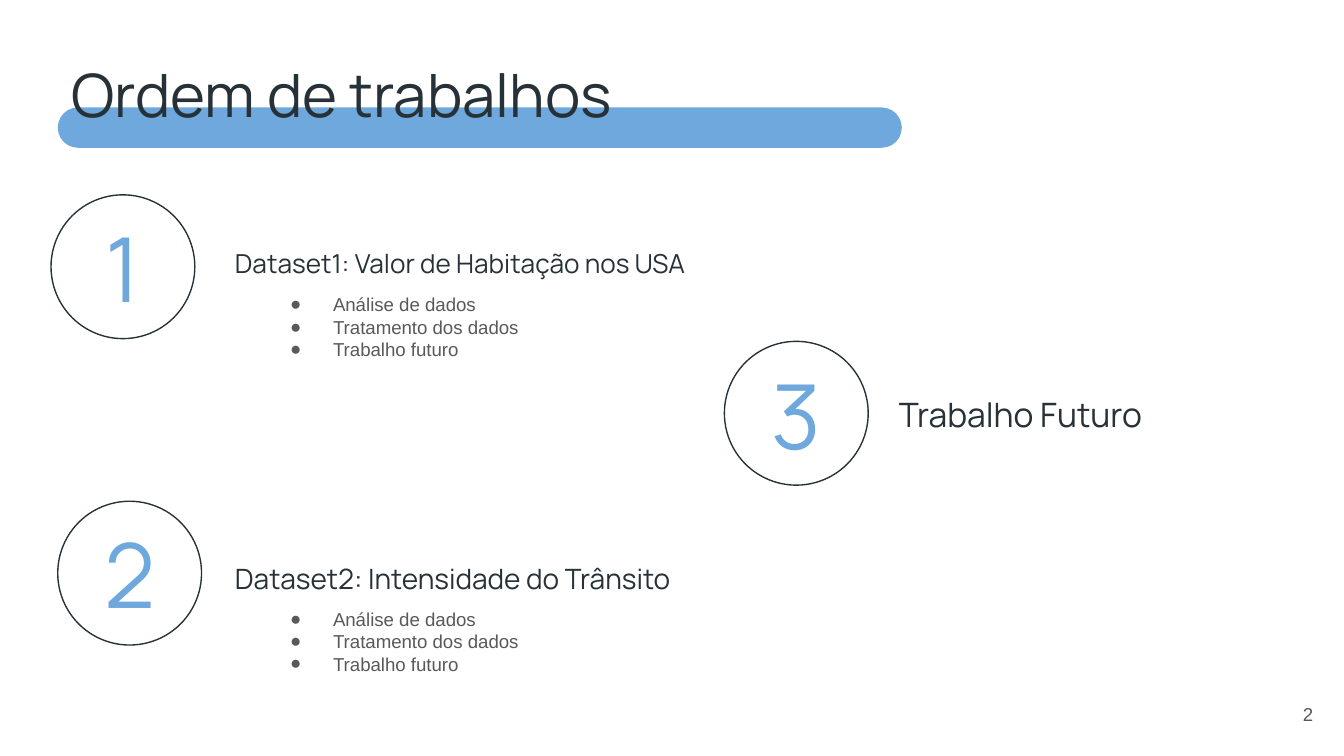
from dataclasses import dataclass

from lxml import etree
from pptx import Presentation
from pptx.dml.color import RGBColor
from pptx.enum import shapes as kinds, text as t
from pptx.oxml.ns import qn
from pptx.util import Inches, Pt


@dataclass(frozen=True)
class Theme:
    ink: str = "263238"
    accent: str = "6FA8DC"
    muted: str = "595959"
    display: str = "Manrope"
    body: str = "Arial"
    title_size: int = 32
    number_size: int = 48
    body_size: int = 10


@dataclass(frozen=True)
class Box:
    left: float
    top: float
    width: float
    height: float

    def lengths(self):
        return [Inches(v) for v in (self.left, self.top, self.width, self.height)]


@dataclass(frozen=True)
class AgendaItem:
    number: str
    circle: tuple[float, float]
    heading: str
    heading_box: Box
    heading_size: int
    topics: tuple[str, ...] = ()


THEME = Theme()
CIRCLE = 1.07
TOPICS = ("Análise de dados", "Tratamento dos dados", "Trabalho futuro")
AGENDA = (
    AgendaItem("1", (0.38, 1.45), "Dataset1: Valor de Habitação nos USA",
               Box(1.65, 1.74, 4.3, 0.49), 14, TOPICS),
    AgendaItem("2", (0.43, 3.73), "Dataset2: Intensidade do Trânsito",
               Box(1.65, 4.08, 4.3, 0.49), 15, TOPICS),
    AgendaItem("3", (5.39, 2.54), "Trabalho Futuro",
               Box(6.59, 2.83, 2.93, 0.49), 18),
)


def write(frame, content: str, size: int, color: str, font: str,
          align=t.PP_ALIGN.LEFT, anchor=t.MSO_ANCHOR.TOP) -> None:
    frame.text = content
    frame.word_wrap = True
    frame.auto_size = t.MSO_AUTO_SIZE.NONE
    frame.vertical_anchor = anchor
    frame.margin_left = frame.margin_right = Inches(0.1)
    frame.margin_top = frame.margin_bottom = Inches(0.1)
    for paragraph in frame.paragraphs:
        paragraph.alignment = align
        for run in paragraph.runs:
            run.font.size = Pt(size)
            run.font.name = font
            run.font.color.rgb = RGBColor.from_string(color)


def add_label(slide, box: Box, *style, **layout):
    """Add a text box; style and layout are passed on to write()."""
    label = slide.shapes.add_textbox(*box.lengths())
    write(label.text_frame, *style, **layout)
    return label


def add_bullet(paragraph) -> None:
    properties = paragraph._p.get_or_add_pPr()
    properties.set("marL", str(Inches(0.5)))
    properties.set("indent", str(Inches(-0.32)))
    color = etree.SubElement(properties, qn("a:buClr"))
    etree.SubElement(color, qn("a:srgbClr"), val=THEME.muted)
    etree.SubElement(properties, qn("a:buFont"), typeface=THEME.body)
    etree.SubElement(properties, qn("a:buChar"), char="●")


def add_title(slide) -> None:
    title = slide.shapes.title
    title.left, title.top, title.width, title.height = Box(0.43, 0.33, 8.43, 0.67).lengths()
    write(title.text_frame, "Ordem de trabalhos", THEME.title_size, THEME.ink, THEME.display)

    underline = slide.shapes.add_shape(kinds.MSO_SHAPE.ROUNDED_RECTANGLE,
                                       *Box(0.43, 0.8, 6.28, 0.3).lengths())
    underline.adjustments[0] = 0.5
    underline.shadow.inherit = False
    underline.fill.solid()
    underline.fill.fore_color.rgb = RGBColor.from_string(THEME.accent)
    underline.line.fill.background()
    title.element.addprevious(underline.element)  # keep the title in front


def add_item(slide, item: AgendaItem) -> None:
    left, top = item.circle
    circle = slide.shapes.add_shape(kinds.MSO_SHAPE.OVAL,
                                    *Box(left, top, CIRCLE, CIRCLE).lengths())
    circle.shadow.inherit = False
    circle.fill.background()
    circle.line.color.rgb = RGBColor.from_string(THEME.ink)
    circle.line.width = Pt(0.75)

    add_label(slide, Box(left + 0.05, top + 0.15, 0.97, 0.77), item.number,
              THEME.number_size, THEME.accent, THEME.display,
              align=t.PP_ALIGN.CENTER, anchor=t.MSO_ANCHOR.MIDDLE)
    add_label(slide, item.heading_box, item.heading, item.heading_size,
              THEME.ink, THEME.display)
    if item.topics:
        topics = add_label(slide, Box(1.88, item.heading_box.top + 0.34, 3.24, 0.92),
                           "\n".join(item.topics), THEME.body_size, THEME.muted, THEME.body)
        for paragraph in topics.text_frame.paragraphs:
            add_bullet(paragraph)


def main() -> None:
    deck = Presentation()
    deck.slide_width = Inches(10)
    deck.slide_height = deck.slide_width * 9 // 16
    slide = deck.slides.add_slide(deck.slide_layouts[5])
    add_title(slide)
    for item in AGENDA:
        add_item(slide, item)
    add_label(slide, Box(9.27, 5.1, 0.6, 0.43), "2", THEME.body_size, THEME.muted,
              THEME.body, align=t.PP_ALIGN.RIGHT, anchor=t.MSO_ANCHOR.MIDDLE)
    deck.save("out.pptx")


if __name__ == "__main__":
    main()
